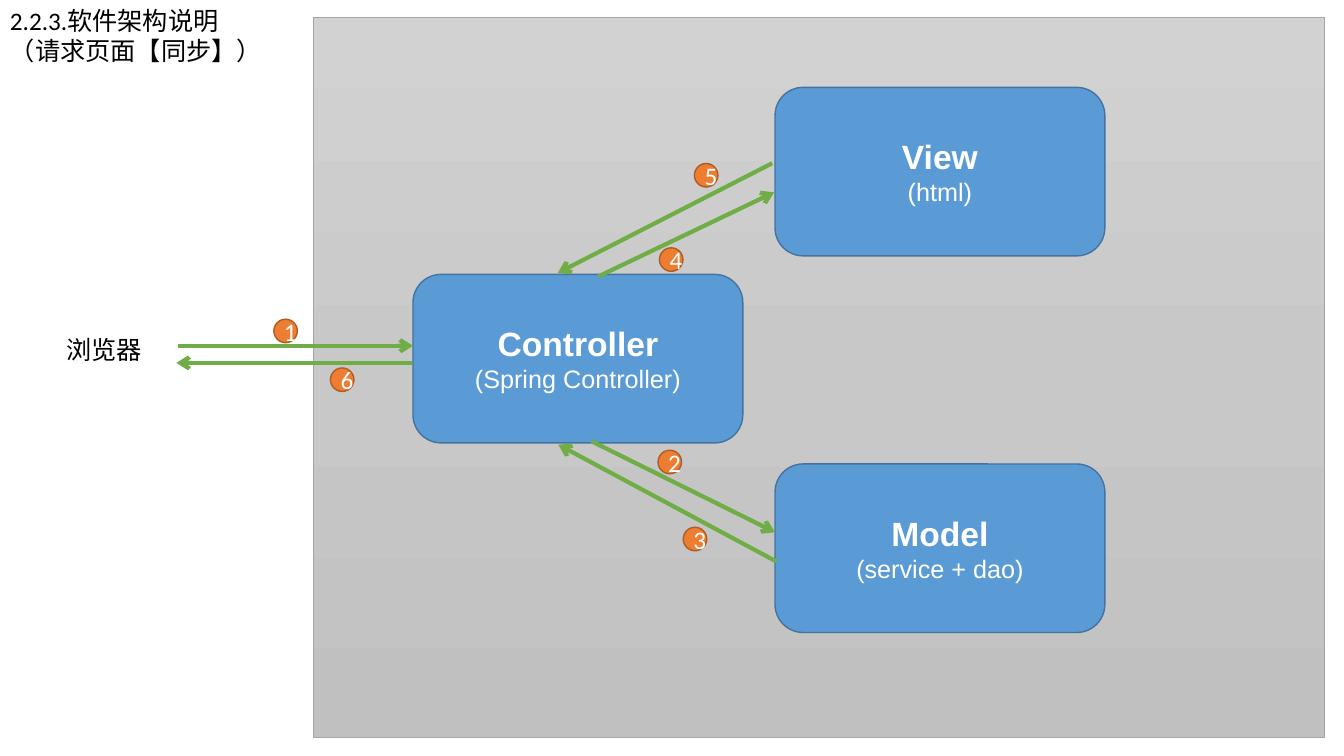
from copy import deepcopy

from pptx import Presentation
from pptx.dml.color import RGBColor
from pptx.enum.shapes import MSO_CONNECTOR, MSO_SHAPE as SHAPE
from pptx.enum.text import MSO_ANCHOR, MSO_AUTO_SIZE, PP_ALIGN as ALIGN
from pptx.oxml.ns import qn
from pptx.util import Pt

COLORS = {
    "panel_top": "D2D2D2", "panel_middle": "C8C8C8", "panel_bottom": "C0C0C0",
    "panel_edge": "A5A5A5",
    "layer": "5B9BD5", "layer_edge": "43739E",
    "step": "ED7D31", "step_edge": "AF5C24",
    "arrow": "70AD47", "dark": "000000", "light": "FFFFFF",
}
LAYER_WIDTH, LAYER_HEIGHT = 235.6, 120.4
STEP_SIZE = 16.8

LAYERS = [
    ("View", "(html)", 553.6, 62.4),
    ("Controller", "(Spring Controller)", 295, 196),
    ("Model", "(service + dao)", 553.6, 331.4),
]
# Start point, end point, then the left and top of the step number
STEPS = [
    ((127, 247), (295, 247), (195.6, 228)),
    ((422.6, 315.2), (553.6, 380.2), (470, 321.6)),
    ((554.4, 401), (398.8, 317.6), (488, 376.6)),
    ((427.6, 197.4), (553, 137.4), (471, 177)),
    ((551.6, 116.6), (398.4, 195), (496, 116.8)),
    ((294, 259.2), (126, 259.2), (236, 262.8)),
]


def color(name):
    return RGBColor.from_string(COLORS[name])


def write(frame, text, *, new=False, size=18, font="Calibri", ink="dark",
          bold=False, align=ALIGN.LEFT):
    """Put text in the first paragraph of the frame, or in a new one."""
    paragraph = frame.add_paragraph() if new else frame.paragraphs[0]
    paragraph.alignment = align
    run = paragraph.add_run()
    run.text = text
    run.font.size = Pt(size)
    run.font.name = font
    run.font.bold = bold
    run.font.color.rgb = color(ink)


def add_block(slide, kind, left, top, width, height, *, edge, fill=None, weight=1):
    block = slide.shapes.add_shape(kind, Pt(left), Pt(top), Pt(width), Pt(height))
    block.shadow.inherit = False
    block.line.color.rgb = color(edge)
    block.line.width = Pt(weight)
    if fill:
        block.fill.solid()
        block.fill.fore_color.rgb = color(fill)
    block.text_frame.vertical_anchor = MSO_ANCHOR.MIDDLE
    return block


def add_panel(slide):
    panel = add_block(slide, SHAPE.RECTANGLE, 224, 12.2, 722.2, 514.8,
                      edge="panel_edge", weight=0.5)
    panel.fill.gradient()
    panel.fill.gradient_angle = 270
    stop_list = next(panel._element.iter(qn("a:gsLst")))
    stop_list.insert(1, deepcopy(stop_list[0]))
    shades = ("panel_top", "panel_middle", "panel_bottom")
    for index, (stop, shade) in enumerate(zip(panel.fill.gradient_stops, shades)):
        stop.position = index / 2
        stop.color.rgb = color(shade)


def add_label(slide, lines, left, top, width, height):
    frame = slide.shapes.add_textbox(
        Pt(left), Pt(top), Pt(width), Pt(height)).text_frame
    frame.word_wrap = False
    frame.auto_size = MSO_AUTO_SIZE.SHAPE_TO_FIT_TEXT
    for index, line in enumerate(lines):
        write(frame, line, new=index > 0)


def add_layer(slide, title, detail, left, top):
    layer = add_block(slide, SHAPE.ROUNDED_RECTANGLE, left, top,
                      LAYER_WIDTH, LAYER_HEIGHT, fill="layer", edge="layer_edge")
    style = dict(font="Arial", ink="light", align=ALIGN.CENTER)
    write(layer.text_frame, title, size=24, bold=True, **style)
    write(layer.text_frame, detail, new=True, **style)


def add_arrow(slide, start, end):
    arrow = slide.shapes.add_connector(
        MSO_CONNECTOR.STRAIGHT, *(Pt(value) for value in start + end))
    arrow.line.color.rgb = color("arrow")
    arrow.line.width = Pt(3)
    line = arrow.line._get_or_add_ln()
    line.append(line.makeelement(qn("a:tailEnd"), {"type": "arrow"}))
    properties = arrow._element.spPr
    properties.append(properties.makeelement(qn("a:effectLst"), {}))


def add_step(slide, number, left, top):
    step = add_block(slide, SHAPE.OVAL, left, top, STEP_SIZE, STEP_SIZE,
                     fill="step", edge="step_edge")
    write(step.text_frame, str(number), ink="light", align=ALIGN.CENTER)


def main():
    deck = Presentation()
    deck.slide_width, deck.slide_height = Pt(960), Pt(540)
    slide = deck.slides.add_slide(deck.slide_layouts[6])

    add_panel(slide)
    add_label(slide, ["2.2.3.软件架构说明", "（请求页面【同步】）"], 0, 0, 194.4, 51)
    for layer in LAYERS:
        add_layer(slide, *layer)
    for start, end, _ in STEPS:
        add_arrow(slide, start, end)
    for number, (_, _, corner) in enumerate(STEPS, start=1):
        add_step(slide, number, *corner)
    add_label(slide, ["浏览器"], 40.4, 235.6, 68.4, 29)

    deck.save("out.pptx")


if __name__ == "__main__":
    main()
